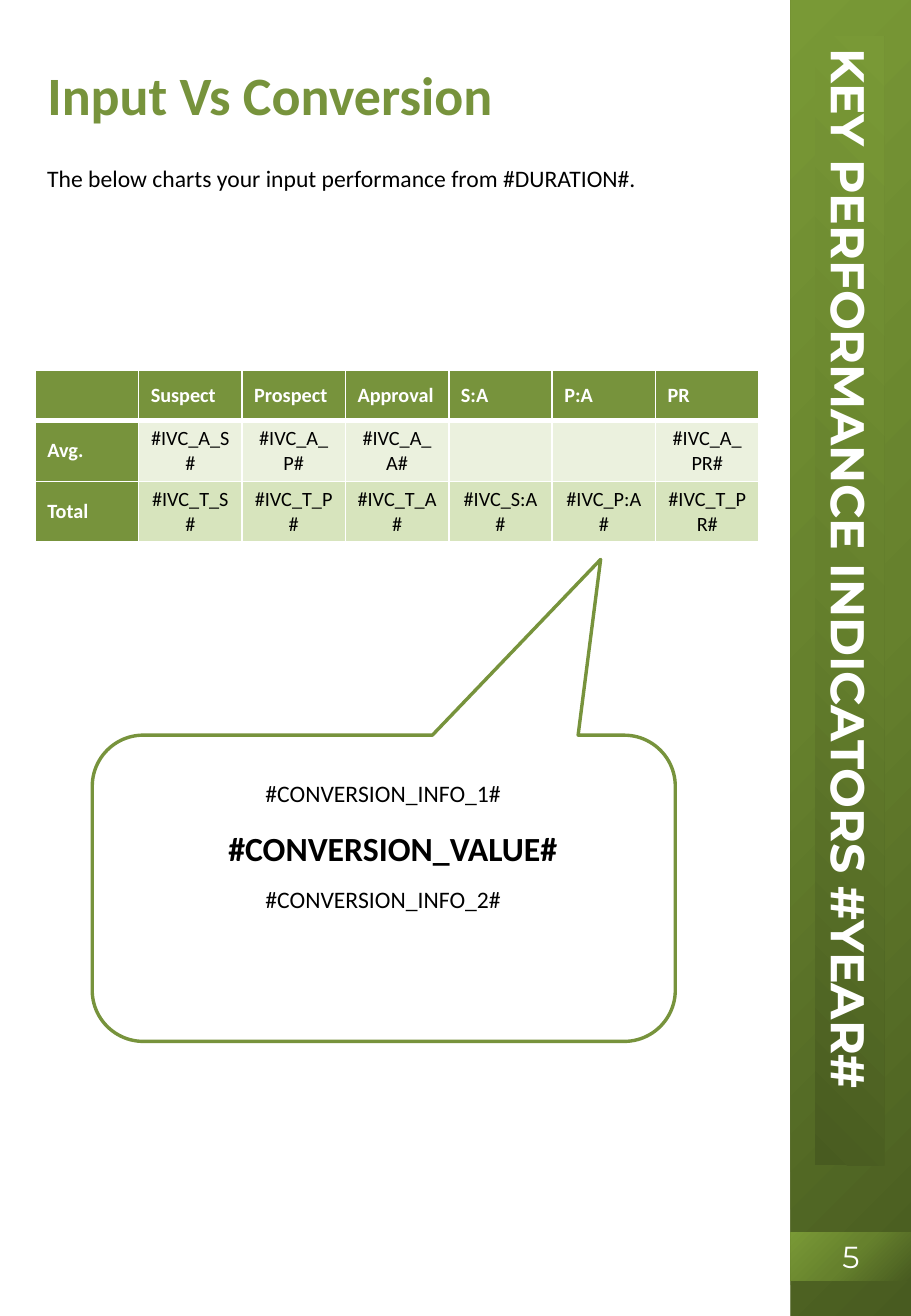
"""Build the Input Vs Conversion page of the key performance indicators report."""
from dataclasses import dataclass

from lxml.etree import SubElement
from pptx import Presentation
from pptx.dml.color import RGBColor
from pptx.enum.shapes import MSO_SHAPE as Shape
from pptx.enum.text import MSO_ANCHOR as Anchor, PP_ALIGN as Align
from pptx.oxml.ns import qn
from pptx.util import Inches, Pt

COLORS = {
    "green": "77933C", "black": "000000", "white": "FFFFFF",
    "pale": "EBF1DE", "soft": "D7E4BD",
}
GRADIENT = {0: "485B20", 50: "66812D", 100: "799936"}


@dataclass
class TextStyle:
    size: float
    color: str = "black"
    bold: bool = False
    font: str = "Calibri"
    align: Align = Align.LEFT


@dataclass
class Label:
    text: str
    frame: tuple[float, float, float, float]
    style: TextStyle


@dataclass
class Panel:
    frame: tuple[float, float, float, float]
    rotation: int = 0
    text: str = ""
    style: TextStyle | None = None


def rgb(name: str) -> RGBColor:
    return RGBColor.from_string(COLORS[name])


def place(shape, frame: tuple) -> None:
    for name, value in zip(("left", "top", "width", "height"), frame):
        setattr(shape, name, Inches(value))


def write(text_frame, text: str, style: TextStyle) -> None:
    para = text_frame.paragraphs[0]
    para.alignment = style.align
    span = para.add_run()
    span.text = text
    values = {"name": style.font, "size": Pt(style.size), "bold": style.bold}
    for name, value in values.items():
        setattr(span.font, name, value)
    span.font.color.rgb = rgb(style.color)


def add_label(page, label: Label) -> None:
    box = page.shapes.add_textbox(*map(Inches, label.frame))
    box.text_frame.word_wrap = True
    write(box.text_frame, label.text, label.style)


def add_panel(page, panel: Panel) -> None:
    box = page.shapes.add_shape(Shape.RECTANGLE, *map(Inches, panel.frame))
    box.shadow.inherit = False
    box.rotation = panel.rotation
    box.line.fill.background()
    box.fill.gradient()
    box.fill.gradient_angle = 135
    stops = box._element.spPr.find(".//" + qn("a:gsLst"))
    for stop in list(stops):
        stops.remove(stop)
    for position, color in GRADIENT.items():
        stop = SubElement(stops, qn("a:gs"), pos=str(position * 1000))
        SubElement(stop, qn("a:srgbClr"), val=color)
    if panel.style:
        box.text_frame.vertical_anchor = Anchor.MIDDLE
        write(box.text_frame, panel.text, panel.style)


def set_borders(cell, widths: dict[str, float]) -> None:
    properties = cell._tc.get_or_add_tcPr()
    for side, width in widths.items():
        line = SubElement(properties, qn(f"a:ln{side}"), w=str(Pt(width)))
        fill = SubElement(line, qn("a:solidFill"))
        SubElement(fill, qn("a:srgbClr"), val=COLORS["white"])


def add_table(page, rows: list[list[str]], frame: tuple, heights: list[float]) -> None:
    table = page.shapes.add_table(len(rows), len(rows[0]), *map(Inches, frame)).table
    for column in table.columns:
        column.width = Inches(frame[2] / len(rows[0]))
    heading = TextStyle(12, "white", True)
    value = TextStyle(12, align=Align.CENTER)
    fills = ["green", "pale", "soft"]
    for r, texts in enumerate(rows):
        table.rows[r].height = Inches(heights[r])
        for c, text in enumerate(texts):
            cell = table.cell(r, c)
            set_borders(cell, {"L": 1, "R": 1, "T": 3 if r == 1 else 1, "B": 3 if r == 0 else 1})
            cell.fill.solid()
            cell.fill.fore_color.rgb = rgb("green" if c == 0 else fills[r])
            cell.vertical_anchor = Anchor.MIDDLE
            if text:
                write(cell.text_frame, text, heading if r == 0 or c == 0 else value)


def add_callout(page, frame: tuple, adjustments: tuple) -> None:
    bubble = page.shapes.add_shape(Shape.ROUNDED_RECTANGULAR_CALLOUT, *map(Inches, frame))
    bubble.shadow.inherit = False
    bubble.fill.background()
    bubble.line.color.rgb = rgb("green")
    bubble.line.width = Pt(2)
    for index, value in enumerate(adjustments):
        bubble.adjustments[index] = value


def add_title(page, text: str, frame: tuple) -> None:
    title = page.shapes.title
    place(title, frame)
    title.text_frame.word_wrap = True
    title.text_frame.vertical_anchor = Anchor.TOP
    write(title.text_frame, text, TextStyle(32, "green", True))


deck = Presentation()
deck.slide_width, deck.slide_height = Inches(7.5), Inches(10.83)
page = deck.slides.add_slide(deck.slide_layouts[5])

add_title(page, "Input Vs Conversion", (0.29, 0.46, 5.43, 0.64))

body = TextStyle(14)
centered = TextStyle(14, align=Align.CENTER)
add_label(page, Label("The below charts your input performance from #DURATION#.",
                      (0.29, 1.3, 5.43, 0.34), body))

number = TextStyle(18, "white", font="Montserrat", align=Align.CENTER)
banner = TextStyle(28, "white", True, "Montserrat")
for panel in (
    Panel((6.51, 0, 0.99, 10.83)),
    Panel((6.51, 10.14, 0.99, 0.4), 0, "5", number),
    Panel((2.35, 4.66, 9.29, 0.57), 90, "KEY PERFORMANCE INDICATORS #YEAR#", banner),
):
    add_panel(page, panel)

add_table(page, [
    ["", "Suspect", "Prospect", "Approval", "S:A", "P:A", "PR"],
    ["Avg.", "#IVC_A_S#", "#IVC_A_P#", "#IVC_A_A#", "", "", "#IVC_A_PR#"],
    ["Total", "#IVC_T_S#", "#IVC_T_P#", "#IVC_T_A#", "#IVC_S:A#", "#IVC_P:A#", "#IVC_T_PR#"],
], (0.29, 3.05, 5.96, 1.41), [0.41, 0.5, 0.5])

add_callout(page, (0.76, 6.05, 4.8, 2.52), (0.372, -1.074, 0.167))
for label in (
    Label("#CONVERSION_INFO_1#", (0.99, 6.36, 4.33, 0.34), centered),
    Label("#CONVERSION_VALUE#", (1.07, 6.76, 4.33, 0.44), TextStyle(20, bold=True, align=Align.CENTER)),
    Label("#CONVERSION_INFO_2#", (0.99, 7.23, 4.33, 0.34), centered),
):
    add_label(page, label)

deck.save("out.pptx")
